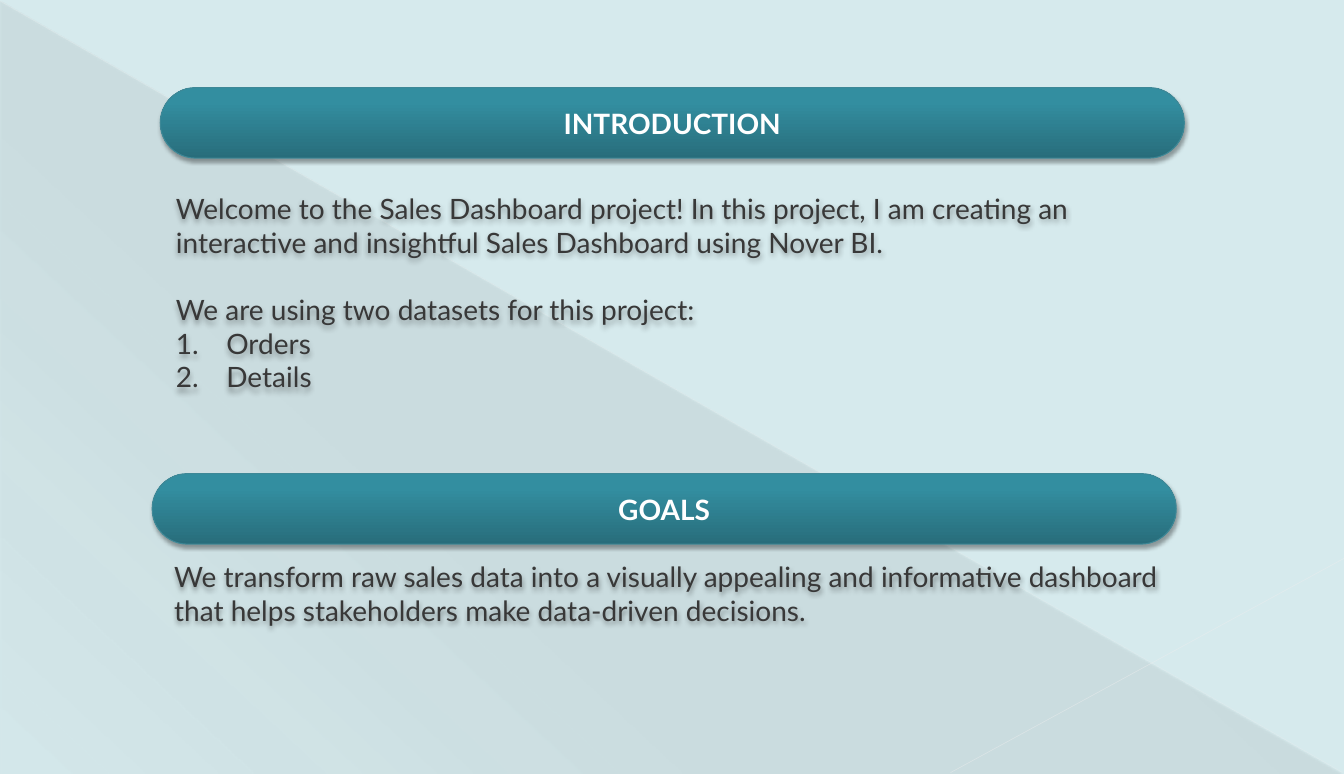
from lxml import etree
from pptx import Presentation
from pptx.dml.color import RGBColor
from pptx.enum.shapes import MSO_CONNECTOR, MSO_SHAPE
from pptx.enum.text import MSO_ANCHOR, PP_ALIGN
from pptx.oxml.ns import qn
from pptx.util import Pt

TRIANGLE = MSO_SHAPE.RIGHT_TRIANGLE
PILL = MSO_SHAPE.ROUNDED_RECTANGLE
PANEL = MSO_SHAPE.ROUND_2_DIAG_RECTANGLE
STRAIGHT = MSO_CONNECTOR.STRAIGHT
TOP, MIDDLE = MSO_ANCHOR.TOP, MSO_ANCHOR.MIDDLE
LEFT, CENTER = PP_ALIGN.LEFT, PP_ALIGN.CENTER

WIDTH, HEIGHT = 960, 553
FONT, TEXT_SIZE, LINE_HEIGHT = "Lato", 20, 24
BACKGROUND, INK, WHITE = "D6EAED", "383838", "FFFFFF"
BANNER_EDGE = "3E8897"
BANNER_STOPS = [(0, "286D7B", 100), (80, "338EA0", 100), (100, "3290A3", 100)]
SHADE_STOPS = [(0, "595959", 10), (70, "595959", 8), (100, "595959", 1)]


def color(value):
    return RGBColor.from_string(value)


def add_node(parent, tag, **attributes):
    node = etree.SubElement(parent, qn(tag))
    for name, value in attributes.items():
        node.set(name, str(value))
    return node


def add_color(parent, value, opacity):
    node = add_node(parent, "a:srgbClr", val=value)
    add_node(node, "a:alpha", val=opacity * 1000)


def fill_gradient(shape, stops, angle):
    """Fill with (position, color, opacity) stops; angle runs clockwise."""
    shape.fill.gradient()
    shape.fill.gradient_angle = 360 - angle
    stop_list = shape._element.spPr.find(qn("a:gradFill")).find(qn("a:gsLst"))
    for old_stop in list(stop_list):
        stop_list.remove(old_stop)
    for position, value, opacity in stops:
        stop = add_node(stop_list, "a:gs", pos=position * 1000)
        add_color(stop, value, opacity)


def add_shadow(shape):
    effects = shape._element.spPr.find(qn("a:effectLst"))
    shadow = add_node(effects, "a:outerShdw", blurRad=Pt(3.1), dist=Pt(1.8),
                      dir=90 * 60000, rotWithShape=0)
    add_color(shadow, "000000", 35)


def add_box(page, kind, left, top, width, height):
    box = page.shapes.add_shape(kind, Pt(left), Pt(top), Pt(width), Pt(height))
    box.shadow.inherit = False
    box.line.fill.background()
    return box


def add_ray(page, start, end, value, weight, opacity):
    ray = page.shapes.add_connector(STRAIGHT, *map(Pt, start + end))
    ray.line.width = Pt(weight)
    ray.line.color.rgb = color(value)
    properties = ray._element.spPr
    add_node(next(properties.iter(qn("a:srgbClr"))), "a:alpha", val=opacity * 1000)
    add_node(properties, "a:effectLst")


def write(box, lines, anchor, align, value, bold=False):
    frame = box.text_frame
    frame.word_wrap = True
    frame.vertical_anchor = anchor
    frame.margin_left = frame.margin_right = Pt(9)
    frame.margin_top = frame.margin_bottom = Pt(4.5)
    for index, line in enumerate(lines):
        para = frame.paragraphs[0] if index == 0 else frame.add_paragraph()
        para.text = line
        para.alignment = align
        para.font.name = FONT
        para.font.size = Pt(TEXT_SIZE)
        para.font.bold = bold
        para.font.color.rgb = color(value)
    return frame.paragraphs


def number(para):
    properties = para._p.get_or_add_pPr()
    properties.set("marL", str(Pt(36)))
    properties.set("indent", str(Pt(-36)))
    bullet = etree.Element(qn("a:buAutoNum"), type="arabicPeriod")
    properties.insert(0, bullet)


def add_banner(page, left, top, title):
    banner = add_box(page, PILL, left, top, 731.5, 50.4)
    banner.adjustments[0] = 0.5
    fill_gradient(banner, BANNER_STOPS, 270)
    banner.line.color.rgb = color(BANNER_EDGE)
    banner.line.width = Pt(0.75)
    add_shadow(banner)
    write(banner, [title], MIDDLE, CENTER, WHITE, bold=True)


def add_panel(page, top, height, lines):
    panel = add_box(page, PANEL, 114.5, top, 736.5, height)
    panel.adjustments[0] = 0.043
    panel.fill.background()
    add_shadow(panel)
    return write(panel, lines, TOP, LEFT, INK)


def main():
    deck = Presentation()
    deck.slide_width, deck.slide_height = Pt(WIDTH), Pt(HEIGHT)
    page = deck.slides.add_slide(deck.slide_layouts[6])

    # Backdrop
    page.background.fill.solid()
    page.background.fill.fore_color.rgb = color(BACKGROUND)
    shade = add_box(page, TRIANGLE, 0.7, 1.4, 958.5, 551.5)
    fill_gradient(shade, SHADE_STOPS, 133)
    add_ray(page, (0, 0.7), (959, 552), "EEEEEE", 0.39, 35)
    add_ray(page, (WIDTH, 399), (679, 552), "EFEFEF", 0.47, 45)

    # Introduction
    paras = add_panel(page, 130.3, 174.2, [
        "Welcome to the Sales Dashboard project! In this project, I am creating an "
        "interactive and insightful Sales Dashboard using Nover BI.",
        "We are using two datasets for this project:",
        "Orders",
        "Details",
    ])
    paras[1].space_before = Pt(LINE_HEIGHT)
    for para in paras[2:]:
        number(para)
    add_banner(page, 114.5, 62.6, "INTRODUCTION")

    # Goals
    add_banner(page, 108.7, 338.4, "GOALS")
    add_panel(page, 394.6, 73.4, [
        "We transform raw sales data into a visually appealing and informative "
        "dashboard that helps stakeholders make data-driven decisions.",
    ])

    deck.save("out.pptx")


if __name__ == "__main__":
    main()
